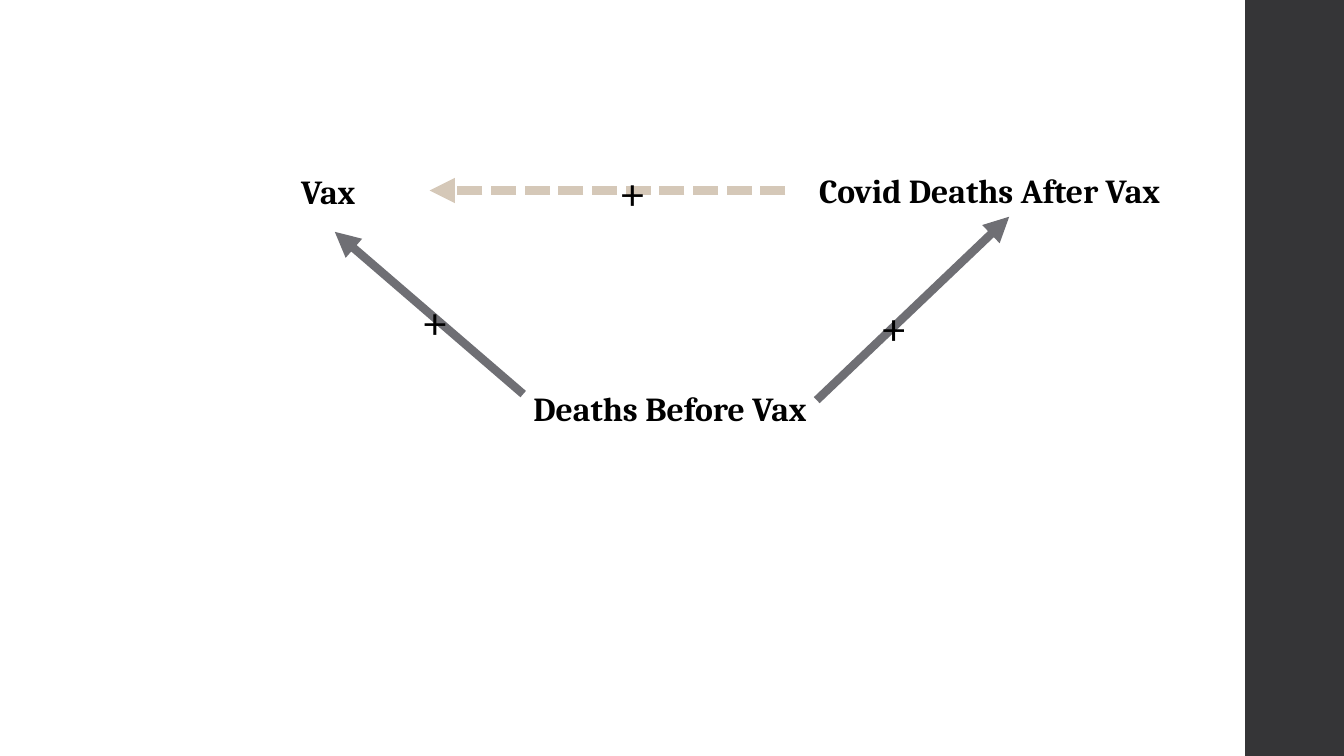
from pptx import Presentation, util as u
from pptx.dml.color import RGBColor
from pptx.enum import dml, shapes, text
from pptx.oxml.ns import qn
from lxml import etree

COLORS = {"band": "353537", "ink": "000000", "cause": "6F6F74", "implied": "D5C8B8"}

deck = Presentation()
deck.slide_width, deck.slide_height = u.Inches(13.33), u.Inches(7.5)
slide = deck.slides.add_slide(deck.slide_layouts[6])

# Lengths are percentages of the slide's width and height
col = deck.slide_width / 100
row = deck.slide_height / 100


def add_label(words, center, top, width, height, size, bold=False):
    """Add centred text around a horizontal position."""
    label = slide.shapes.add_textbox(
        round((center - width / 2) * col), round(top * row),
        round(width * col), round(height * row))
    frame = label.text_frame
    frame.word_wrap = True
    frame.auto_size = text.MSO_AUTO_SIZE.SHAPE_TO_FIT_TEXT
    paragraph = frame.paragraphs[0]
    paragraph.alignment = text.PP_ALIGN.CENTER
    run = paragraph.add_run()
    run.text = words
    run.font.name, run.font.size, run.font.bold = "Cambria", u.Pt(size), bold
    run.font.color.rgb = RGBColor.from_string(COLORS["ink"])


def add_arrow(start, end, color, dash=None):
    """Add a thick arrow pointing at its end."""
    arrow = slide.shapes.add_connector(
        shapes.MSO_CONNECTOR.STRAIGHT,
        round(start[0] * col), round(start[1] * row),
        round(end[0] * col), round(end[1] * row))
    arrow.line.width = u.Pt(6)
    arrow.line.color.rgb = RGBColor.from_string(COLORS[color])
    if dash:
        arrow.line.dash_style = dash
    properties = arrow.line._get_or_add_ln()
    etree.SubElement(properties, qn("a:tailEnd"), type="triangle")
    etree.SubElement(properties.getparent(), qn("a:effectLst"))


side_band = slide.shapes.add_shape(
    shapes.MSO_SHAPE.RECTANGLE, round(92.65 * col), 0,
    round(7.5 * col), deck.slide_height)
side_band.shadow.inherit = False
side_band.fill.solid()
side_band.fill.fore_color.rgb = RGBColor.from_string(COLORS["band"])
side_band.line.fill.background()

for event, center, top in [
    ("Covid Deaths After Vax", 73.63, 21.87),
    ("Vax", 24.42, 22),
    ("Deaths Before Vax", 49.85, 50.67),
]:
    add_label(event, center, top, width=33.38, height=6.67, size=24, bold=True)

add_arrow((38.93, 52.13), (24.91, 30.67), "cause")
add_arrow((60.77, 52.93), (75.09, 28.67), "cause")
add_arrow((58.44, 25.2), (31.96, 25.2), "implied", dml.MSO_LINE.SQUARE_DOT)
# The named styles lack the 3:1 system dash, so it is set directly
for dash_mark in slide.shapes[-1].line._get_or_add_ln().findall(qn("a:prstDash")):
    dash_mark.set("val", "sysDash")

for center, top in [(32.37, 37.6), (47.07, 20.53), (66.5, 38.4)]:
    add_label("+", center, top, width=10.28, height=9.47, size=36)

deck.save("out.pptx")
